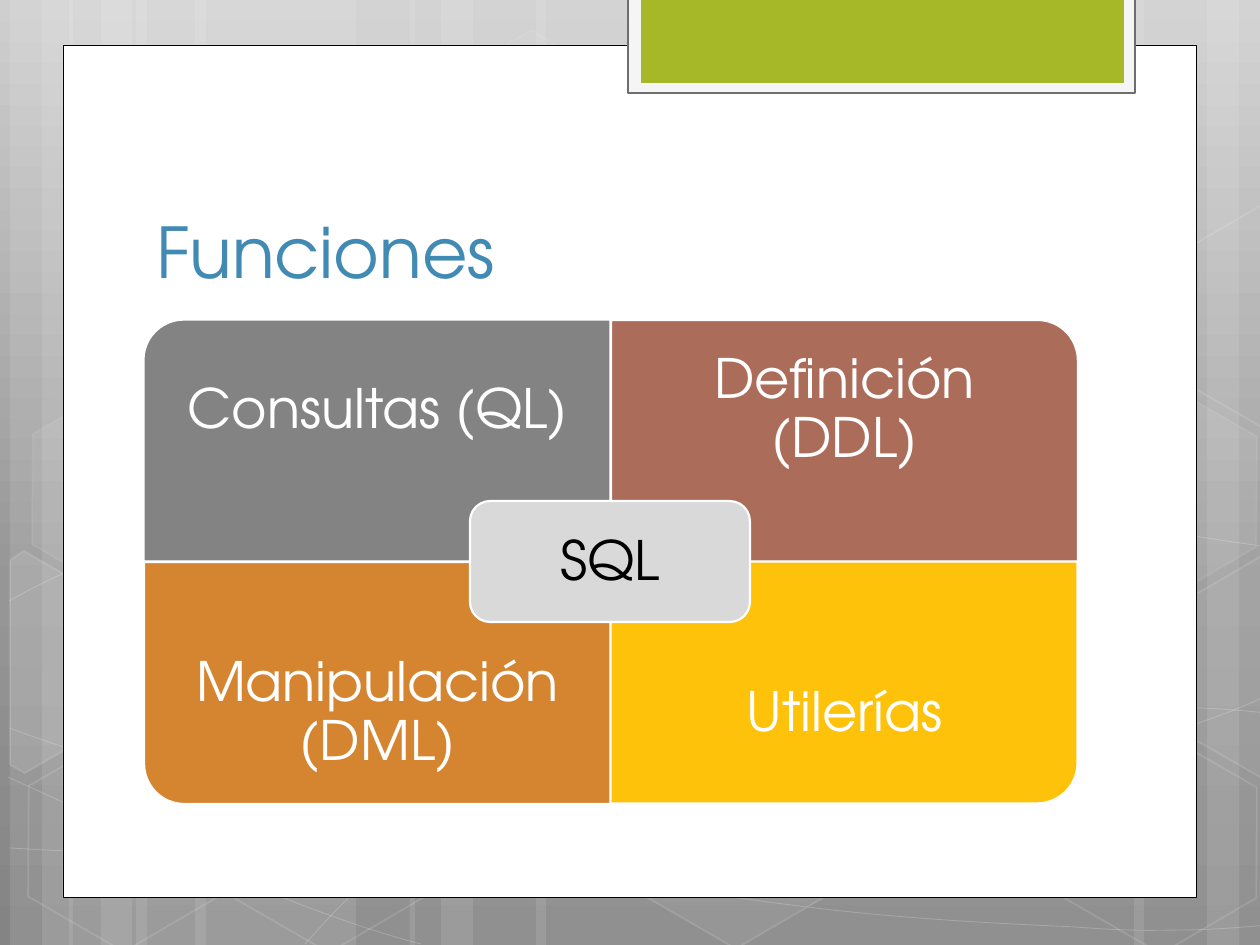
import copy
from typing import NamedTuple, Optional

import pptx
import pptx.dml.color
import pptx.enum.shapes
import pptx.enum.text
import pptx.oxml
import pptx.oxml.ns
import pptx.util

RGB = pptx.dml.color.RGBColor
SHAPE = pptx.enum.shapes.MSO_SHAPE
ANCHOR = pptx.enum.text.MSO_ANCHOR
ALIGN = pptx.enum.text.PP_ALIGN
qn = pptx.oxml.ns.qn

PX = 914400 / 126
WIDTH, HEIGHT = 1260, 945
FONT = "TeX Gyre Adventor"

WHITE = RGB(0xFF, 0xFF, 0xFF)
BLACK = RGB(0x00, 0x00, 0x00)
TITLE_BLUE = RGB(0x41, 0x8A, 0xB3)
TAB_GREEN = RGB(0xA6, 0xB7, 0x27)
TAB_FRAME = RGB(0xF5, 0xF5, 0xF5)
TAB_EDGE = RGB(0x6E, 0x6E, 0x6E)
HUB_GRAY = RGB(0xD9, 0xD9, 0xD9)
GRAY = RGB(0x83, 0x83, 0x83)
BROWN = RGB(0xAC, 0x6C, 0x5A)
ORANGE = RGB(0xD5, 0x84, 0x30)
YELLOW = RGB(0xFE, 0xC2, 0x0A)
BACKDROP = ((0, RGB(0xCF, 0xCF, 0xCF)), (0.62, RGB(0x96, 0x96, 0x96)),
            (1, RGB(0x84, 0x84, 0x84)))


class Box(NamedTuple):
    x: int
    y: int
    w: int
    h: int


class Paint(NamedTuple):
    """Fill and line; opacities are in percent."""
    fill: Optional[RGB] = None
    line: Optional[RGB] = None
    line_pt: float = 1
    fill_alpha: int = 100
    line_alpha: int = 100


class Bar(NamedTuple):
    x: int
    w: int
    rotation: int = 0


class Hexagon(NamedTuple):
    x: int
    y: int
    fill_alpha: int
    line_alpha: int


class CutHexagon(NamedTuple):
    """A hexagon trimmed at the slide's edge; points are relative to x, y."""
    x: int
    y: int
    points: tuple
    fill_alpha: int


class Quadrant(NamedTuple):
    text: str
    col: int
    row: int
    rotation: int
    color: RGB


BARS = (
    Bar(136, 220), Bar(10, 63), Bar(42, 105), Bar(195, 220), Bar(69, 63), Bar(101, 105),
    Bar(924, 220, 180), Bar(1207, 63, 180), Bar(1134, 105, 180),
    Bar(536, 388), Bar(410, 63), Bar(441, 105),
)

# Each curve is a start point followed by cubic segments: two controls and an end.
CURVES = (
    ((9, 848), (77, 852), (145, 855), (239, 854), (334, 853), (451, 851), (577, 838),
     (703, 825), (882, 801), (998, 777), (1113, 753), (1231, 716), (1269, 694)),
    ((9, 601), (45, 581), (82, 562), (152, 543), (224, 524), (326, 499), (437, 488),
     (549, 479), (685, 478), (824, 488), (963, 498), (1193, 537), (1269, 547)),
    ((8, 777), (160, 847), (311, 916), (421, 944)),
    ((9, 728), (48, 742), (88, 756), (161, 776), (234, 795), (344, 827), (450, 848),
     (554, 869), (687, 892), (791, 905), (896, 919), (1008, 924), (1075, 927),
     (1140, 932), (1158, 930), (1191, 930), (1223, 929), (1246, 927), (1269, 925)),
    ((305, 944), (328, 919), (350, 893), (381, 871), (411, 848), (454, 823), (489, 805),
     (524, 788), (546, 780), (592, 767), (638, 755), (722, 737), (766, 728),
     (811, 719), (818, 719), (857, 717), (896, 713), (958, 709), (1000, 708),
     (1045, 707), (1116, 708), (1116, 708), (1116, 708), (1201, 708), (1201, 708),
     (1223, 709), (1245, 711), (1256, 712), (1264, 713), (1260, 712), (1268, 713)),
)

HEXAGONS_BEFORE = (Hexagon(421, 45, 4, 8), Hexagon(626, 742, 6, 12))
HEXAGONS_AFTER = (
    Hexagon(14, 745, 0, 12), Hexagon(18, 393, 7, 8), Hexagon(219, 746, 0, 12),
    Hexagon(949, 571, 10, 12), Hexagon(1051, 747, 0, 12), Hexagon(1051, 396, 7, 8),
)
LEFT_CUT = ((0, 15), (7, 0), (119, 0), (174, 97), (119, 192), (102, 192))
RIGHT_CUT = ((0, 95), (54, 0), (65, 0), (171, 182), (165, 192), (54, 192))
LEFT_HEXAGON = CutHexagon(-42, 578, LEFT_CUT, 10)
RIGHT_HEXAGONS = (CutHexagon(1155, 559, RIGHT_CUT, 4), CutHexagon(1155, 208, RIGHT_CUT, 0))

LEFT, TOP, CELL_W, CELL_H, LABEL_H = 144, 320, 467, 242, 181
QUADRANTS = (
    Quadrant("Consultas (QL)", 0, 0, 270, GRAY),
    Quadrant("Definición (DDL)", 1, 0, 0, BROWN),
    Quadrant("Manipulación (DML)", 0, 1, 180, ORANGE),
    Quadrant("Utilerías", 1, 1, 90, YELLOW),
)


def emu(px: float) -> int:
    return round(px * PX)


def set_alpha(fill, percent: int) -> None:
    """Make a solid fill translucent."""
    if percent < 100:
        color = fill._xPr.find(qn("a:solidFill"))[0]
        color.append(pptx.oxml.parse_xml(
            f'<a:alpha {pptx.oxml.ns.nsdecls("a")} val="{percent * 1000}"/>'))


def apply_paint(sp, paint: Paint) -> None:
    sp.shadow.inherit = False
    if paint.fill is None or paint.fill_alpha == 0:
        sp.fill.background()
    else:
        sp.fill.solid()
        sp.fill.fore_color.rgb = paint.fill
        set_alpha(sp.fill, paint.fill_alpha)
    if paint.line is None:
        sp.line.fill.background()
    else:
        sp.line.color.rgb = paint.line
        sp.line.width = pptx.util.Pt(paint.line_pt)
        set_alpha(sp.line.fill, paint.line_alpha)


def add_preset(s, kind, box: Box, paint: Paint, rotation: int = 0):
    sp = s.shapes.add_shape(kind, *map(emu, box))
    sp.rotation = rotation
    apply_paint(sp, paint)
    return sp


def add_outline(s, points, paint: Paint, close: bool):
    builder = s.shapes.build_freeform(*points[0], scale=PX)
    builder.add_line_segments(points[1:], close=close)
    sp = builder.convert_to_shape()
    apply_paint(sp, paint)
    return sp


def add_curve(s, points) -> None:
    """Draw the points as lines, then join every three into a cubic segment."""
    sp = add_outline(s, points, Paint(None, WHITE, 0.5, line_alpha=20), False)
    lines = list(sp._element.iter(qn("a:lnTo")))
    for first, second, third in zip(lines[::3], lines[1::3], lines[2::3]):
        cubic = pptx.oxml.parse_xml(f'<a:cubicBezTo {pptx.oxml.ns.nsdecls("a")}/>')
        first.addprevious(cubic)
        for line in (first, second, third):
            cubic.append(line[0])
            line.getparent().remove(line)


def add_hexagon(s, h: Hexagon) -> None:
    sp = add_preset(s, SHAPE.HEXAGON, Box(h.x, h.y, 220, 192),
                    Paint(WHITE, WHITE, 1, h.fill_alpha, h.line_alpha), 30)
    sp.adjustments[0], sp.adjustments[1] = 0.285, 1.155


def add_cut_hexagon(s, h: CutHexagon) -> None:
    points = [(h.x + x, h.y + y) for x, y in h.points]
    sp = add_outline(s, points, Paint(WHITE, WHITE, 1, h.fill_alpha, 12), True)
    sp.rotation = 30


def add_label(s, box: Box, text: str, color: RGB, inset: int) -> None:
    tf = s.shapes.add_textbox(*map(emu, box)).text_frame
    tf.word_wrap = True
    tf.vertical_anchor = ANCHOR.MIDDLE
    tf.margin_left = tf.margin_right = tf.margin_top = tf.margin_bottom = emu(inset)
    p = tf.paragraphs[0]
    p.text = text
    p.alignment = ALIGN.CENTER
    p.line_spacing = 0.9
    p.font.name, p.font.size, p.font.color.rgb = FONT, pptx.util.Pt(31), color


def draw_backdrop(s) -> None:
    fill = s.background.fill
    fill.gradient()
    fill.gradient_angle = 270
    first = next(s.element.iter(qn("a:gs")))
    first.addnext(copy.deepcopy(first))
    for stop, (position, color) in zip(fill.gradient_stops, BACKDROP):
        stop.position = position
        stop.color.rgb = color
    for x, w, rotation in BARS:
        add_preset(s, SHAPE.RECTANGLE, Box(x, 0, w, HEIGHT),
                   Paint(WHITE, fill_alpha=10), rotation)
    for points in CURVES:
        add_curve(s, points)
    for h in HEXAGONS_BEFORE:
        add_hexagon(s, h)
    add_cut_hexagon(s, LEFT_HEXAGON)
    for h in HEXAGONS_AFTER:
        add_hexagon(s, h)
    for h in RIGHT_HEXAGONS:
        add_cut_hexagon(s, h)


def draw_panel(s) -> None:
    add_preset(s, SHAPE.RECTANGLE, Box(63, 45, 1134, 853), Paint(WHITE, BLACK, 0.5))
    add_preset(s, SHAPE.RECTANGLE, Box(628, -3, 507, 96), Paint(TAB_FRAME, TAB_EDGE, 1.25))
    add_preset(s, SHAPE.RECTANGLE, Box(641, -3, 483, 86), Paint(TAB_GREEN))
    tf = s.shapes.add_textbox(*map(emu, Box(LEFT, 141, 968, 158))).text_frame
    tf.word_wrap = True
    tf.vertical_anchor = ANCHOR.BOTTOM
    p = tf.paragraphs[0]
    p.text = "Funciones"
    p.font.name, p.font.size, p.font.color.rgb = FONT, pptx.util.Pt(40), TITLE_BLUE


def draw_quadrant(s, q: Quadrant) -> None:
    x, y = LEFT + q.col * CELL_W, TOP + q.row * CELL_H
    w, h = (CELL_H, CELL_W) if q.rotation % 180 else (CELL_W, CELL_H)
    box = Box(x + (CELL_W - w) // 2, y + (CELL_H - h) // 2, w, h)
    add_preset(s, SHAPE.ROUND_1_RECTANGLE, box, Paint(q.color, WHITE, 1.25), q.rotation)
    label = Box(x, y + q.row * (CELL_H - LABEL_H), CELL_W, LABEL_H)
    add_label(s, label, q.text, WHITE, 30)


def main() -> None:
    prs = pptx.Presentation()
    prs.slide_width, prs.slide_height = emu(WIDTH), emu(HEIGHT)
    s = prs.slides.add_slide(prs.slide_layouts[6])
    draw_backdrop(s)
    draw_panel(s)
    for q in QUADRANTS:
        draw_quadrant(s, q)
    add_preset(s, SHAPE.ROUNDED_RECTANGLE, Box(470, 501, 280, 121),
               Paint(HUB_GRAY, WHITE, 1.25))
    add_label(s, Box(476, 508, 268, 109), "SQL", BLACK, 16)
    prs.save("out.pptx")


if __name__ == "__main__":
    main()
